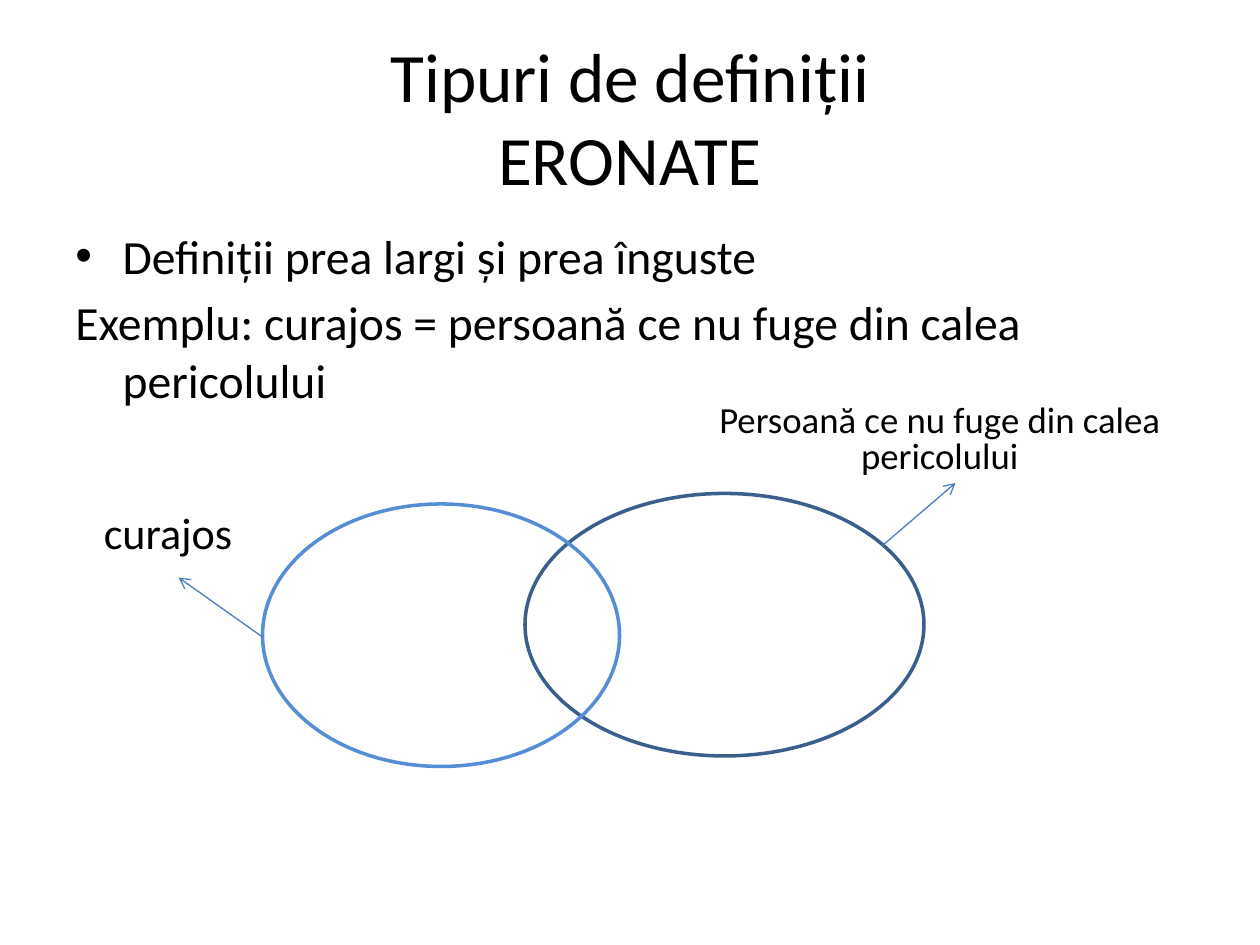
from dataclasses import dataclass

from lxml.etree import SubElement
from pptx import Presentation
from pptx.dml.color import RGBColor
from pptx.enum.shapes import MSO_CONNECTOR, MSO_SHAPE
from pptx.enum.text import MSO_ANCHOR, PP_ALIGN
from pptx.oxml.ns import qn
from pptx.slide import Slide
from pptx.util import Pt


@dataclass(frozen=True)
class Theme:
    font: str = "Calibri"
    text: str = "000000"
    dark_blue: str = "3A5F8C"
    light_blue: str = "558ED5"
    arrow: str = "4B7EBC"
    title_size: float = 39.6
    body_size: float = 27.2
    term_size: float = 25.2
    definition_size: float = 21
    outline: float = 2
    arrow_width: float = 0.75


@dataclass(frozen=True)
class Box:
    left: float
    top: float
    width: float
    height: float

    def lengths(self) -> tuple:
        return Pt(self.left), Pt(self.top), Pt(self.width), Pt(self.height)


@dataclass(frozen=True)
class Line:
    text: str
    size: float
    bullet: str = ""
    indent: float = 0
    space_before: float = 0
    spacing: float = 1.0
    align: PP_ALIGN = PP_ALIGN.CENTER


@dataclass(frozen=True)
class Circle:
    box: Box
    color: str


@dataclass(frozen=True)
class Arrow:
    start: tuple[float, float]
    end: tuple[float, float]


THEME = Theme()
HANGING = 27

TITLE = Line("Tipuri de definiții\vERONATE", THEME.title_size)
BODY = [
    Line("Definiții prea largi și prea înguste", THEME.body_size,
         bullet="•", indent=HANGING, align=PP_ALIGN.LEFT),
    Line("Exemplu: curajos = persoană ce nu fuge din calea pericolului", THEME.body_size,
         indent=HANGING, space_before=5.4, align=PP_ALIGN.LEFT),
]
TERM = Line("curajos", THEME.term_size, spacing=0.9)
DEFINITION = Line("Persoană ce nu fuge din calea pericolului", THEME.definition_size, spacing=0.8)

DEFINITION_CIRCLE = Circle(Box(300, 282, 228, 150), THEME.dark_blue)
TERM_CIRCLE = Circle(Box(150, 288, 204, 150), THEME.light_blue)
ARROWS = [Arrow((150, 364), (102, 330)), Arrow((504, 312), (546, 276))]


def add_text(slide: Slide, box: Box, lines: list[Line],
             anchor: MSO_ANCHOR = MSO_ANCHOR.MIDDLE) -> None:
    frame = slide.shapes.add_textbox(*box.lengths()).text_frame
    frame.word_wrap = True
    frame.vertical_anchor = anchor
    for index, line in enumerate(lines):
        paragraph = frame.add_paragraph() if index else frame.paragraphs[0]
        format_paragraph(paragraph, line)
        for part_index, part in enumerate(line.text.split("\v")):
            if part_index:
                paragraph.add_line_break()
            run = paragraph.add_run()
            run.text = part
            run.font.name = THEME.font
            run.font.size = Pt(line.size)
            run.font.color.rgb = RGBColor.from_string(THEME.text)


def format_paragraph(paragraph, line: Line) -> None:
    properties = paragraph._p.get_or_add_pPr()
    if line.indent:
        properties.set("marL", str(Pt(line.indent)))
        properties.set("indent", str(-Pt(line.indent)))
    if line.bullet:
        SubElement(properties, qn("a:buFont"), typeface="Arial")
        SubElement(properties, qn("a:buChar"), char=line.bullet)
    paragraph.alignment = line.align
    paragraph.line_spacing = line.spacing
    paragraph.space_before = Pt(line.space_before)
    paragraph.font.size = Pt(line.size)


def add_circle(slide: Slide, circle: Circle) -> None:
    shape = slide.shapes.add_shape(MSO_SHAPE.OVAL, *circle.box.lengths())
    shape.shadow.inherit = False
    shape.fill.background()
    shape.line.color.rgb = RGBColor.from_string(circle.color)
    shape.line.width = Pt(THEME.outline)


def add_arrow(slide: Slide, arrow: Arrow) -> None:
    points = [Pt(value) for value in (*arrow.start, *arrow.end)]
    connector = slide.shapes.add_connector(MSO_CONNECTOR.STRAIGHT, *points)
    connector.line.color.rgb = RGBColor.from_string(THEME.arrow)
    connector.line.width = Pt(THEME.arrow_width)
    SubElement(connector.line._get_or_add_ln(), qn("a:tailEnd"), type="arrow")
    SubElement(connector._element.spPr, qn("a:effectLst"))


def main() -> None:
    presentation = Presentation()
    presentation.slide_width = Pt(720)
    presentation.slide_height = Pt(540)
    slide = presentation.slides.add_slide(presentation.slide_layouts[6])

    add_circle(slide, DEFINITION_CIRCLE)
    add_text(slide, Box(36, 21.6, 648, 90), [TITLE])
    add_text(slide, Box(36, 126, 648, 96), BODY, MSO_ANCHOR.TOP)
    add_circle(slide, TERM_CIRCLE)
    for arrow in ARROWS:
        add_arrow(slide, arrow)
    add_text(slide, Box(30, 288, 132, 36), [TERM])
    add_text(slide, Box(366, 228, 342, 48), [DEFINITION])

    presentation.save("out.pptx")


if __name__ == "__main__":
    main()
